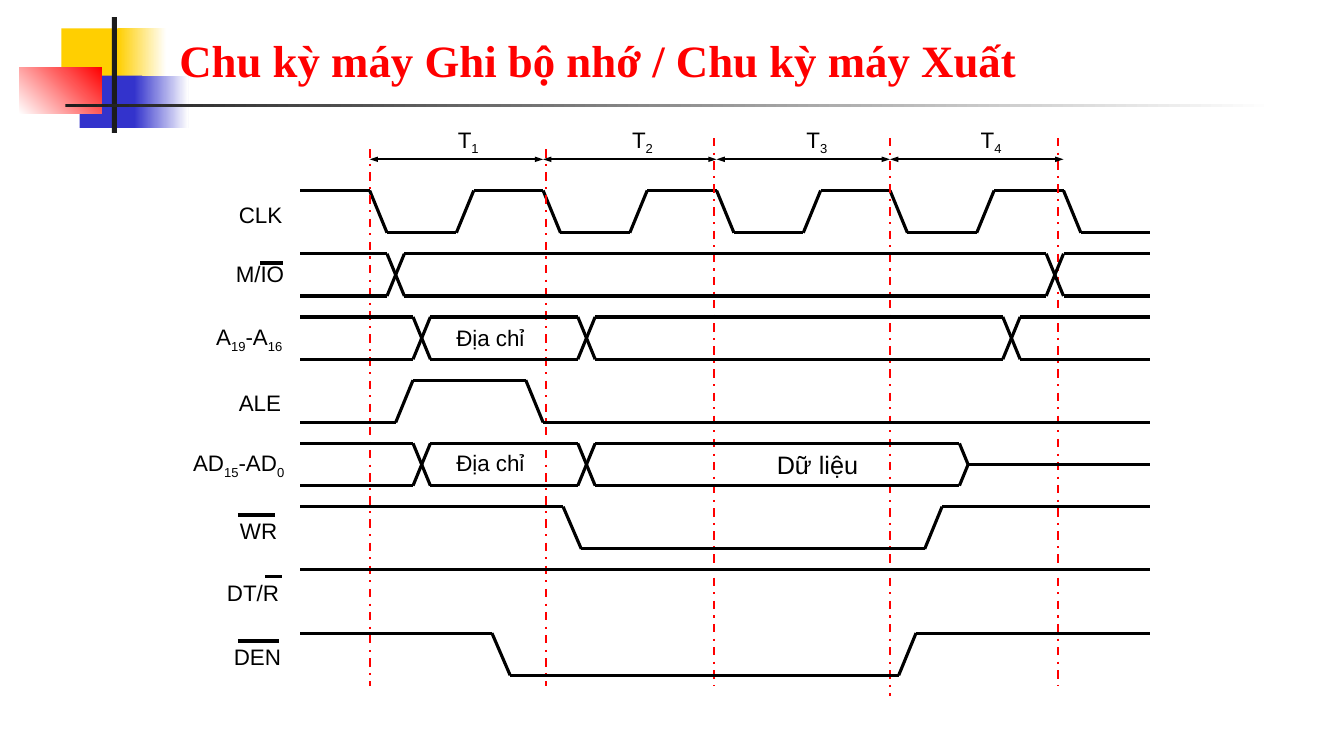
"""Draws the timing diagram of a memory write / output machine cycle."""
from typing import NamedTuple

import lxml.etree
import pptx
import pptx.dml.color
import pptx.enum.dml
import pptx.enum.shapes
import pptx.enum.text
import pptx.oxml.ns
import pptx.util

COLORS = {"black": "000000", "red": "FF0000", "yellow": "FFCF01",
          "blue": "3333CC", "dark": "1C1C1C", "white": "FFFFFF"}
ALIGN = pptx.enum.text.PP_ALIGN
LEFT, UNIT = 214.5, 12.39
TOP, ROW_PITCH, SWING = 136.1, 45.16, 30.15
HIGH, MIDDLE, LOW = 0, 0.5, 1
END = 49
FIRST_EDGE, PERIOD = 4, 10


class Block(NamedTuple):
    left: float
    top: float
    width: float
    height: float
    color: str
    fade_to: str = ""
    angle: float = 0


class Trace(NamedTuple):
    row: int
    points: list[tuple[float, float]]
    mirrored: bool = False


class Label(NamedTuple):
    """Text whose parts between bars alternate between normal and subscript."""
    text: str
    left: float
    top: float
    width: float
    align: ALIGN = ALIGN.RIGHT
    size: float = 16
    height: float = 20


class Rule(NamedTuple):
    start: tuple[float, float]
    end: tuple[float, float]
    color: str = "black"
    weight: float = 2.25
    dashed: bool = False
    arrows: bool = False


BLOCKS = [
    Block(43.9, 20.2, 46.1, 37.4, "yellow"),
    Block(84.2, 20.2, 34.6, 37.4, "yellow", "white"),
    Block(56.9, 54, 44.6, 37.4, "blue"),
    Block(95.8, 54, 38.9, 37.4, "blue", "white"),
    Block(13.7, 48.2, 59, 33.1, "white", "red", 45),
    Block(79.9, 12.2, 3.6, 82.8, "dark"),
    Block(46.8, 74.2, 864, 2.2, "dark", "white"),
]

CLOCK = Trace(0, [(0, HIGH)] + [
    (FIRST_EDGE + PERIOD * cycle + offset, level)
    for cycle in range(5)
    for offset, level in ((0, HIGH), (1, LOW), (5, LOW), (6, HIGH))
    if FIRST_EDGE + PERIOD * cycle + offset <= END])

SIGNALS = [
    Trace(1, [(0, HIGH), (5, HIGH), (6, LOW), (43, LOW), (44, HIGH), (END, HIGH)], True),
    Trace(2, [(0, HIGH), (6.5, HIGH), (7.5, LOW), (16, LOW), (17, HIGH),
              (40.5, HIGH), (41.5, LOW), (END, LOW)], True),
    Trace(3, [(0, LOW), (5.5, LOW), (6.5, HIGH), (13, HIGH), (14, LOW), (END, LOW)]),
    Trace(4, [(0, HIGH), (6.5, HIGH), (7.5, LOW), (16, LOW), (17, HIGH),
              (38, HIGH), (38.5, MIDDLE)], True),
    Trace(4, [(38.5, MIDDLE), (END, MIDDLE)]),
    Trace(5, [(0, HIGH), (15.15, HIGH), (16.2, LOW), (36, LOW), (37, HIGH), (END, HIGH)]),
    Trace(6, [(0, HIGH), (END, HIGH)]),
    Trace(7, [(0, HIGH), (11.05, HIGH), (12.1, LOW), (34.5, LOW), (35.5, HIGH), (END, HIGH)]),
]

EDGE_MARKERS = [
    Rule((x, top), (x, bottom), "red", 1.5, dashed=True)
    for x, top, bottom in ((264.2, 106.6, 490.3), (390.2, 106.6, 490.3),
                           (509.8, 98.6, 490.3), (635.8, 98.6, 497.5),
                           (756, 98.6, 490.3))]

OVERBARS = [
    Rule((185.8, 187.9), (202.3, 187.9)),
    Rule((169.9, 367.9), (196.6, 367.9)),
    Rule((189.4, 411.8), (201.6, 411.8), weight=1.5),
    Rule((169.9, 457.9), (199.4, 457.9)),
]

LABELS = [
    Label("CLK", 160.6, 144, 41),
    Label("M/IO", 162, 185.8, 41),
    Label("A|19|-A|16", 143.3, 231.1, 58.3),
    Label("ALE", 159.8, 277.9, 41),
    Label("AD|15|-AD|0", 120.2, 321.1, 82.8, height=24.5),
    Label("WR", 157, 369.4, 41),
    Label("DT/R", 158.4, 414, 41),
    Label("DEN", 159.8, 459.4, 41),
    Label("Dữ liệu", 533.5, 321.1, 100.8, ALIGN.CENTER, 18),
    Label("Địa chỉ", 313.2, 321.1, 74.2, ALIGN.CENTER),
    Label("Địa chỉ", 313.2, 231.8, 74.2, ALIGN.CENTER),
] + [Label(f"T|{state + 1}", 323.3 + 124.5 * state, 90, 22.3, ALIGN.CENTER)
     for state in range(4)]


def rgb(name: str) -> pptx.dml.color.RGBColor:
    return pptx.dml.color.RGBColor.from_string(COLORS[name])


def column(unit: float) -> float:
    return LEFT + UNIT * unit


def draw_block(slide: pptx.slide.Slide, block: Block) -> None:
    shape = slide.shapes.add_shape(
        pptx.enum.shapes.MSO_SHAPE.RECTANGLE,
        *map(pptx.util.Pt, (block.left, block.top, block.width, block.height)))
    shape.shadow.inherit = False
    shape.line.fill.background()
    if block.fade_to:
        shape.fill.gradient()
        shape.fill.gradient_angle = block.angle
        for stop, name in zip(shape.fill.gradient_stops, (block.color, block.fade_to)):
            stop.color.rgb = rgb(name)
    else:
        shape.fill.solid()
        shape.fill.fore_color.rgb = rgb(block.color)


def draw_rule(slide: pptx.slide.Slide, rule: Rule) -> None:
    connector = slide.shapes.add_connector(
        pptx.enum.shapes.MSO_CONNECTOR.STRAIGHT,
        *map(pptx.util.Pt, rule.start + rule.end))
    connector.line.color.rgb = rgb(rule.color)
    connector.line.width = pptx.util.Pt(rule.weight)
    if rule.dashed:
        connector.line.dash_style = pptx.enum.dml.MSO_LINE.DASH_DOT
    properties = connector._element.spPr
    if rule.arrows:
        outline = properties.find(pptx.oxml.ns.qn("a:ln"))
        for tag in ("a:headEnd", "a:tailEnd"):
            lxml.etree.SubElement(outline, pptx.oxml.ns.qn(tag), type="triangle", w="sm")
    lxml.etree.SubElement(properties, pptx.oxml.ns.qn("a:effectLst"))


def draw_trace(slide: pptx.slide.Slide, trace: Trace) -> None:
    for flipped in (False, True) if trace.mirrored else (False,):
        corners = [(column(unit), TOP + ROW_PITCH * trace.row
                    + SWING * (1 - level if flipped else level))
                   for unit, level in trace.points]
        for start, end in zip(corners, corners[1:]):
            draw_rule(slide, Rule(start, end))


def draw_label(slide: pptx.slide.Slide, label: Label) -> None:
    box = slide.shapes.add_textbox(
        *map(pptx.util.Pt, (label.left, label.top, label.width, label.height)))
    frame = box.text_frame
    frame.word_wrap = True
    frame.margin_left = frame.margin_top = frame.margin_right = frame.margin_bottom = 0
    paragraph = frame.paragraphs[0]
    paragraph.alignment = label.align
    for index, part in enumerate(label.text.split("|")):
        run = paragraph.add_run()
        run.text = part
        run.font.name = "Arial"
        run.font.size = pptx.util.Pt(label.size)
        run.font.color.rgb = rgb("black")
        if index % 2:
            run.font._element.set("baseline", "-25000")


def draw_title(slide: pptx.slide.Slide) -> None:
    box = slide.shapes.add_textbox(*map(pptx.util.Pt, (121, 16.6, 817.9, 49)))
    frame = box.text_frame
    frame.word_wrap = True
    frame.vertical_anchor = pptx.enum.text.MSO_ANCHOR.BOTTOM
    frame.text = "Chu kỳ máy Ghi bộ nhớ / Chu kỳ máy Xuất"
    font = frame.paragraphs[0].runs[0].font
    font.name, font.size, font.bold = "Times New Roman", pptx.util.Pt(32), True
    font.color.rgb = rgb("red")


def main() -> None:
    presentation = pptx.Presentation()
    presentation.slide_width = pptx.util.Pt(960)
    presentation.slide_height = pptx.util.Pt(540)
    slide = presentation.slides.add_slide(presentation.slide_layouts[6])
    for block in BLOCKS:
        draw_block(slide, block)
    draw_trace(slide, CLOCK)
    spans = [Rule((column(edge), 113.8), (column(edge + PERIOD), 113.8), weight=1.5, arrows=True)
             for edge in range(FIRST_EDGE, FIRST_EDGE + 4 * PERIOD, PERIOD)]
    for rule in EDGE_MARKERS + spans + OVERBARS:
        draw_rule(slide, rule)
    for signal in SIGNALS:
        draw_trace(slide, signal)
    for label in LABELS:
        draw_label(slide, label)
    draw_title(slide)
    presentation.save("out.pptx")


if __name__ == "__main__":
    main()
